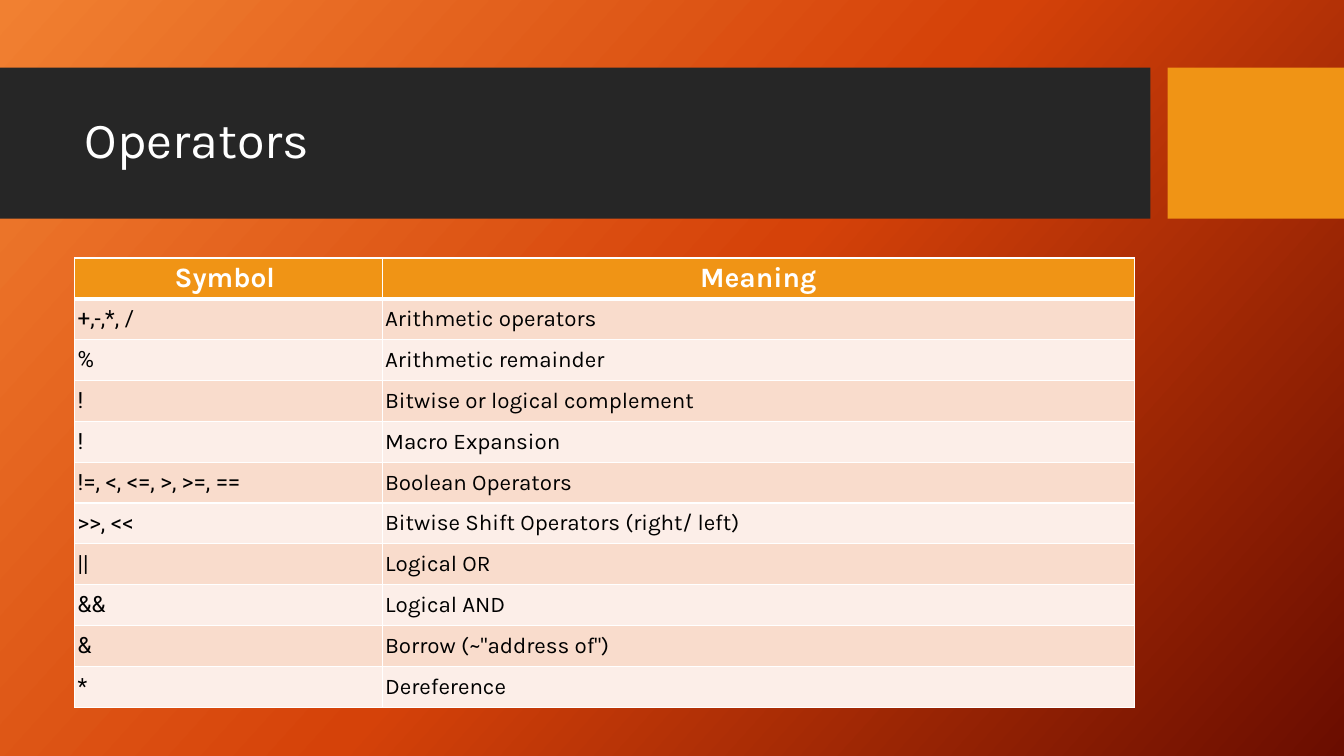
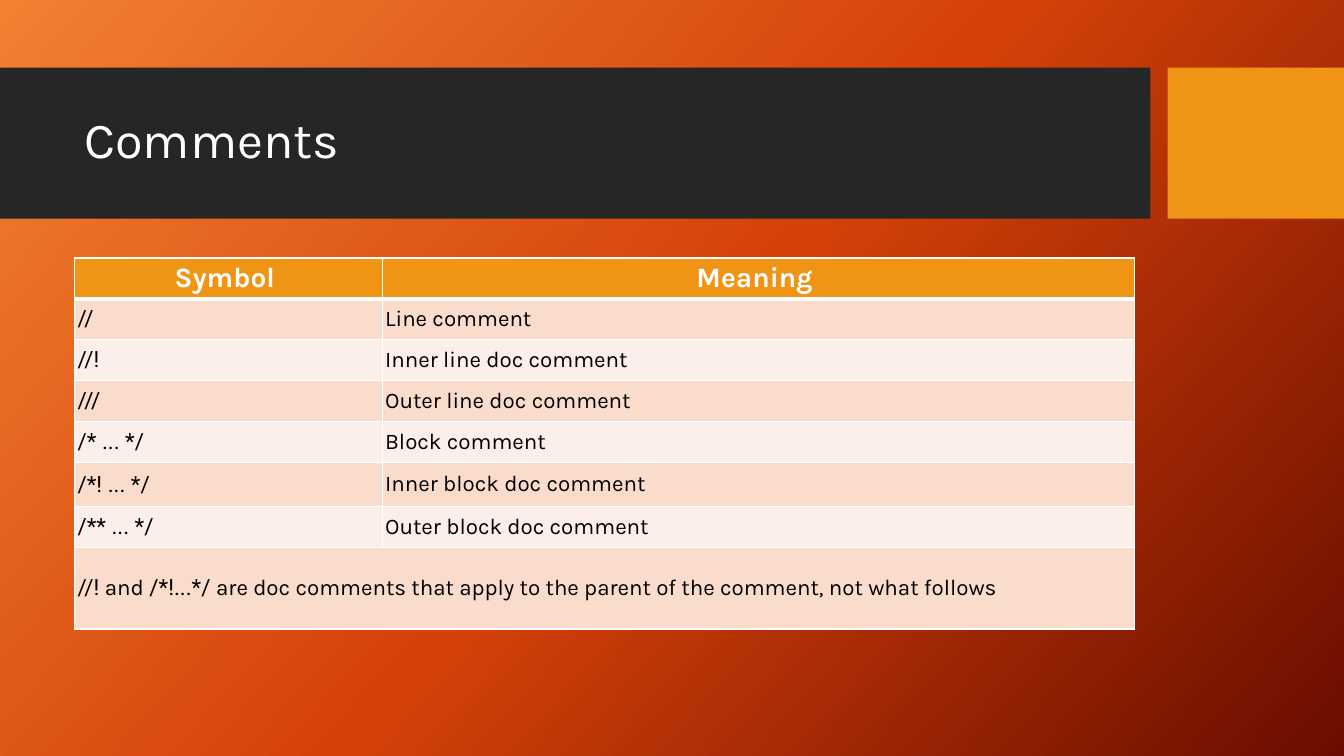
from copy import deepcopy
from dataclasses import dataclass

from lxml.etree import SubElement
from pptx import Presentation
from pptx.dml.color import RGBColor as RGB
from pptx.enum.shapes import MSO_SHAPE as SHAPE
from pptx.enum.text import MSO_ANCHOR as ANCHOR, PP_ALIGN as ALIGN
from pptx.oxml.ns import qn
from pptx.util import Inches, Pt


@dataclass(frozen=True)
class Theme:
    background: tuple = ((0, "F18031"), (0.5, "D54209"), (1, "6A0D00"))
    angle: int = 42
    band: str = "262626"
    accent: str = "F09415"
    light: str = "FFFFFF"
    dark: str = "000000"
    stripes: tuple = ("F9DCCC", "FCEEE8")
    font: str = "Karla"
    code_font: str = "Roboto"
    title_size: int = 36
    header_size: int = 20
    body_size: int = 16
    rule: int = 1
    header_rule: int = 3


THEME = Theme()
LEFT, CONTENT_WIDTH = 0.74, 10.51
TABLE_TOP = 2.56
COLUMNS = (3.05, 7.46)
ROW_HEIGHT = 4.46 / 11

OPERATORS = [
    ("+,-,*, /", "Arithmetic operators"),
    ("%", "Arithmetic remainder"),
    ("!", "Bitwise or logical complement"),
    ("!", "Macro Expansion"),
    ("!=, <, <=, >, >=, ==", "Boolean Operators"),
    (">>, <<", "Bitwise Shift Operators (right/ left)"),
    ("||", "Logical OR"),
    ("&&", "Logical AND"),
    ("&", 'Borrow (~"address of")'),
    ("*", "Dereference"),
]
COMMENTS = [
    ("//", "Line comment"),
    ("//!", "Inner line doc comment"),
    ("///", "Outer line doc comment"),
    ("/* ... */", "Block comment"),
    ("/*! ... */", "Inner block doc comment"),
    ("/** ... */", "Outer block doc comment"),
]
COMMENT_NOTE = [
    ("//! ", THEME.code_font),
    ("and", THEME.font),
    (" /*!...*/ ", THEME.code_font),
    ("are doc comments that apply to the parent of the comment, not what follows",
     THEME.font),
]


def add_text(p, text, *, size, color, font=THEME.font, bold=False, align=ALIGN.LEFT):
    p.alignment = align
    r = p.add_run()
    r.text = text
    r.font.name, r.font.size, r.font.bold = font, Pt(size), bold
    r.font.color.rgb = RGB.from_string(color)


def set_borders(cell, color, **widths):
    """Draw the cell's borders; widths are points for L, R, T and B."""
    tc_pr = cell._tc.get_or_add_tcPr()
    for i, side in enumerate("LRTB"):
        ln = SubElement(tc_pr, qn(f"a:ln{side}"), w=str(Pt(widths.get(side, THEME.rule))))
        fill = SubElement(ln, qn("a:solidFill"))
        SubElement(fill, qn("a:srgbClr"), val=color)
        tc_pr.insert(i, ln)  # borders must precede the cell fill


class Deck:
    def __init__(self, theme):
        self.theme = theme
        self.prs = Presentation()
        self.prs.slide_width, self.prs.slide_height = Inches(13.33), Inches(7.5)
        self.slide = None
        self.set_background()

    def set_background(self):
        master = self.prs.slide_master
        fill = master.background.fill
        fill.gradient()
        stops = master.element.find(f".//{qn('p:bg')}//{qn('a:gsLst')}")
        stops.append(deepcopy(stops[0]))
        for stop, (position, color) in zip(fill.gradient_stops, self.theme.background):
            stop.position = position
            stop.color.rgb = RGB.from_string(color)
        fill.gradient_angle = 360 - self.theme.angle

    def add_slide(self, title):
        self.slide = self.prs.slides.add_slide(self.prs.slide_layouts[6])
        self.band(0, 11.41, self.theme.band)
        self.band(11.58, 1.75, self.theme.accent)
        self.title(title)

    def band(self, left, width, color):
        sp = self.slide.shapes.add_shape(
            SHAPE.RECTANGLE, Inches(left), Inches(0.67), Inches(width), Inches(1.5))
        sp.shadow.inherit = False
        sp.fill.solid()
        sp.fill.fore_color.rgb = RGB.from_string(color)
        sp.line.fill.background()

    def title(self, text):
        sp = self.slide.shapes.add_textbox(
            Inches(LEFT), Inches(0.82), Inches(CONTENT_WIDTH), Inches(1.18))
        tf = sp.text_frame
        tf.word_wrap = True
        tf.vertical_anchor = ANCHOR.MIDDLE
        p = tf.paragraphs[0]
        p.line_spacing = 0.9
        add_text(p, text, size=self.theme.title_size, color=self.theme.light)

    def cell(self, cell, runs, fill, borders, **style):
        """Fill one cell with runs, a list of (text, font) pairs."""
        cell.vertical_anchor = ANCHOR.MIDDLE
        cell.margin_left = cell.margin_right = Inches(0.03)
        cell.margin_top = cell.margin_bottom = Inches(0.02)
        cell.fill.solid()
        cell.fill.fore_color.rgb = RGB.from_string(fill)
        set_borders(cell, self.theme.light, **borders)
        for text, font in runs:
            add_text(cell.text_frame.paragraphs[0], text, font=font, **style)

    def table(self, headers, rows, note=None, heights=None):
        """Add a striped table; note spans a last row, heights maps row to inches."""
        t = self.theme
        body = [[[(symbol, t.code_font)], [(meaning, t.font)]] for symbol, meaning in rows]
        if note:
            body.append([note, []])
        count = len(body) + 1
        table = self.slide.shapes.add_table(
            count, len(COLUMNS), Inches(LEFT), Inches(TABLE_TOP),
            Inches(CONTENT_WIDTH), Inches(ROW_HEIGHT * count)).table
        table.first_row = table.horz_banding = False
        for column, width in zip(table.columns, COLUMNS):
            column.width = Inches(width)
        for i, row in enumerate(table.rows):
            row.height = Inches((heights or {}).get(i, ROW_HEIGHT))

        for j, text in enumerate(headers):
            self.cell(table.cell(0, j), [(text, t.font)], t.accent, {"B": t.header_rule},
                      size=t.header_size, color=t.light, bold=True, align=ALIGN.CENTER)
        for i, cells in enumerate(body, 1):
            borders = {"T": t.header_rule} if i == 1 else {}
            for j, runs in enumerate(cells):
                self.cell(table.cell(i, j), runs, t.stripes[(i - 1) % 2], borders,
                          size=t.body_size, color=t.dark)
        if note:
            table.cell(count - 1, 0).merge(table.cell(count - 1, len(COLUMNS) - 1))


def main():
    deck = Deck(THEME)
    deck.add_slide("Operators")
    deck.table(("Symbol ", "Meaning"), OPERATORS)
    deck.add_slide("Comments")
    deck.table(("Symbol ", "Meaning "), COMMENTS, COMMENT_NOTE,
               heights={5: 0.44, 7: 2 * ROW_HEIGHT})
    deck.prs.save("out.pptx")


if __name__ == "__main__":
    main()
